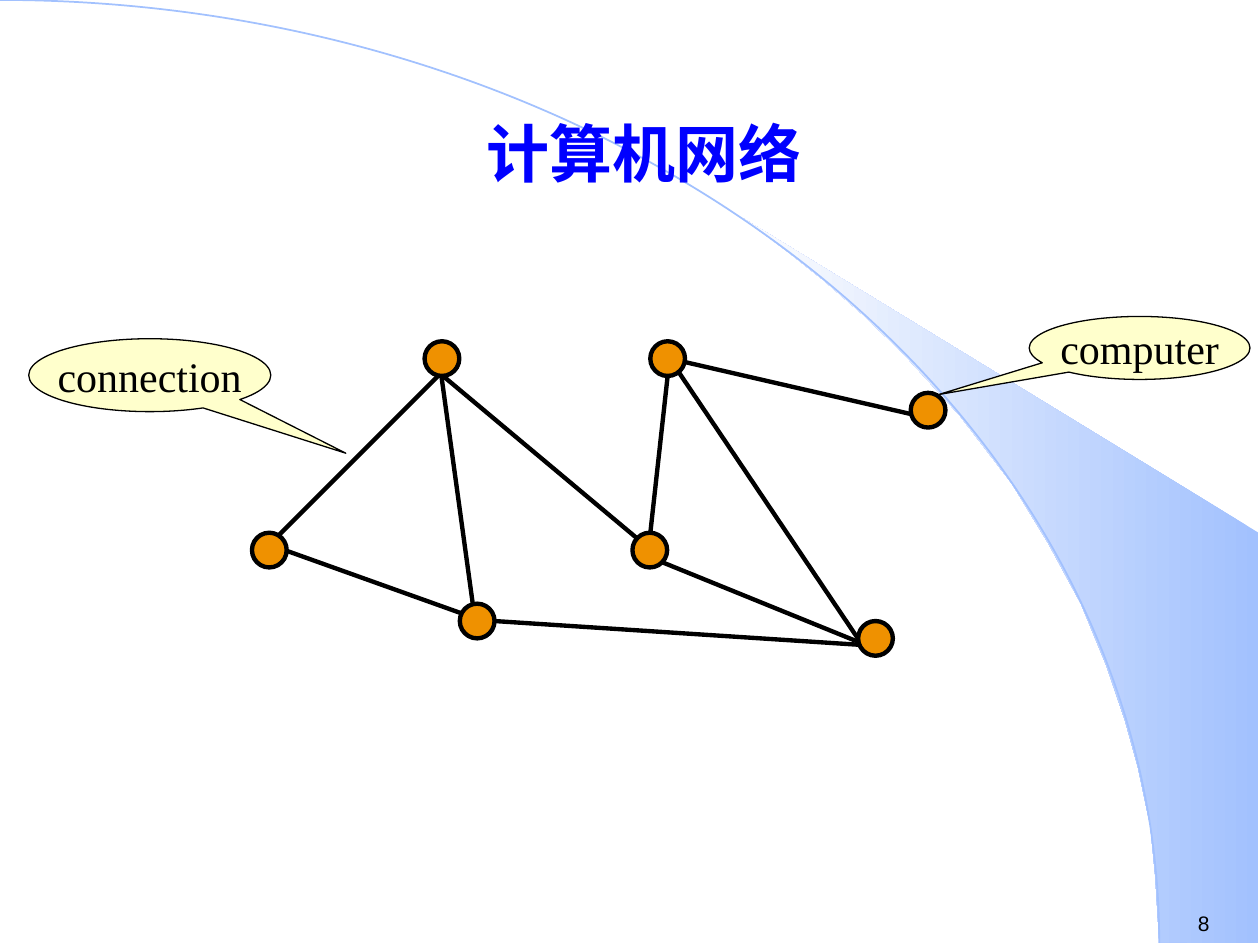
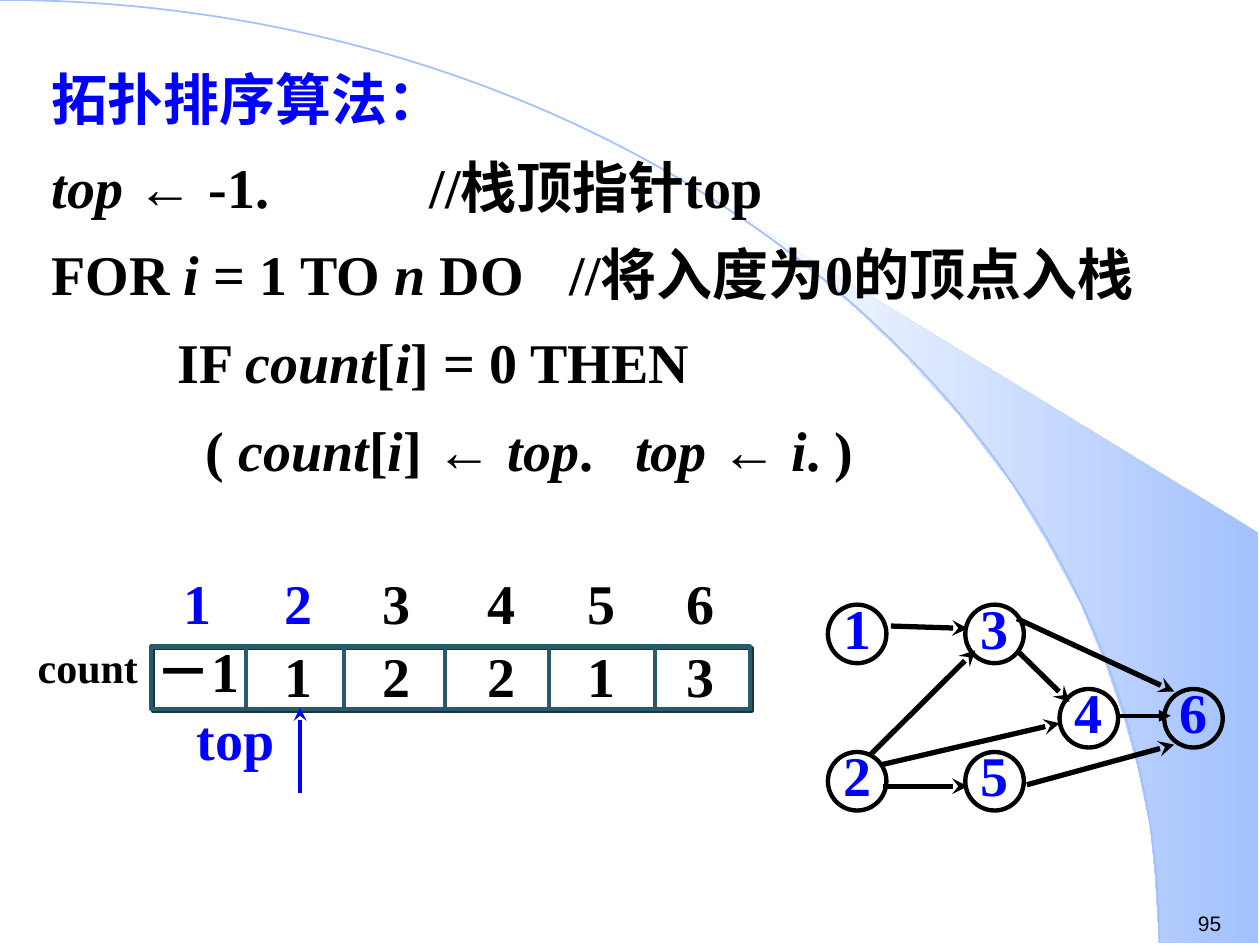
"""Build two slides on graphs: a computer network and topological sorting."""
from lxml.etree import SubElement
from pptx import Presentation
from pptx.dml.color import RGBColor
from pptx.enum.shapes import MSO_CONNECTOR, MSO_SHAPE
from pptx.enum.text import MSO_ANCHOR, PP_ALIGN
from pptx.oxml.ns import qn
from pptx.util import Cm, Inches, Pt

BLACK = RGBColor(0, 0, 0)
BLUE = RGBColor(0, 0, 255)
SWOOSH = RGBColor(0xA2, 0xC1, 0xFE)
NEAR_WHITE = RGBColor(0xFE, 0xFE, 0xFE)
ORANGE = RGBColor(0xEF, 0x91, 0)
CREAM = RGBColor(0xFF, 0xFF, 0xCC)
TEAL = RGBColor(0x29, 0x5A, 0x69)
SHADOW = RGBColor(0x18, 0x35, 0x3E)
SERIF = "Times New Roman"
SANS = "Arial"


def write(shape, text, size, color=BLACK, bold=True, align=PP_ALIGN.CENTER, font=SERIF):
    frame = shape.text_frame
    frame.text = text
    frame.word_wrap = False
    paragraph = frame.paragraphs[0]
    paragraph.alignment = align
    for run in paragraph.runs:
        run.font.name = font
        run.font.size = Pt(size)
        run.font.bold = bold
        run.font.color.rgb = color


def draw_line(slide, x1, y1, x2, y2, color=BLACK, width=2.5, head=None):
    line = slide.shapes.add_connector(MSO_CONNECTOR.STRAIGHT, Cm(x1), Cm(y1), Cm(x2), Cm(y2))
    line.line.color.rgb = color
    line.line.width = Pt(width)
    properties = line._element.spPr
    if head:
        SubElement(properties.get_or_add_ln(), qn("a:tailEnd"), type=head)
    SubElement(properties, qn("a:effectLst"))


presentation = Presentation()
presentation.slide_width = Cm(25.4)
presentation.slide_height = Cm(19.05)
network_slide = presentation.slides.add_slide(presentation.slide_layouts[5])
sorting_slide = presentation.slides.add_slide(presentation.slide_layouts[6])

SWOOSH_POINTS = [
    (2337, 1900), (2537, 1902), (2537, 1074), (1496, 439), (1585, 505), (1659, 564),
    (1740, 635), (1819, 711), (1935, 838), (2040, 975), (2113, 1095), (2179, 1217),
    (2230, 1341), (2268, 1453), (2294, 1547), (2319, 1666), (2329, 1768),
]
for slide, number in [(network_slide, "8"), (sorting_slide, "95")]:
    builder = slide.shapes.build_freeform(*SWOOSH_POINTS[0], scale=Cm(0.01))
    builder.add_line_segments(SWOOSH_POINTS[1:], close=True)
    swoosh = builder.convert_to_shape()
    swoosh.shadow.inherit = False
    swoosh.line.fill.background()
    swoosh.fill.gradient()
    swoosh.fill.gradient_angle = 180
    for stop, color, position in zip(swoosh.fill.gradient_stops, (SWOOSH, NEAR_WHITE), (0, 1)):
        stop.color.rgb = color
        stop.position = position

    arc = slide.shapes.add_shape(MSO_SHAPE.ARC, Cm(-23.37), 0, Cm(46.74), Cm(38.02))
    arc.shadow.inherit = False
    arc.fill.background()
    arc.line.color.rgb = SWOOSH
    arc.line.width = Pt(1)

    page_box = slide.shapes.add_textbox(Cm(23.9), Cm(18.24), Cm(1.5), Cm(0.76))
    write(page_box, number, 12, bold=False, align=PP_ALIGN.LEFT, font=SANS)

title = network_slide.shapes.title
title.left, title.top, title.width, title.height = Cm(2.29), Cm(2.13), Cm(21.39), Cm(1.9)
title.text_frame.vertical_anchor = MSO_ANCHOR.MIDDLE
write(title, "计算机网络", 36, BLUE)
title.text_frame.word_wrap = True
network_slide.shapes._spTree.append(title._element)

CONNECTIONS = [
    (8.89, 7.52, 5.51, 10.9), (8.92, 7.57, 12.9, 10.9), (5.77, 11.1, 9.32, 12.37),
    (13.46, 7.57, 13.11, 10.74), (9.98, 12.52, 17.35, 13), (18.42, 8.36, 13.77, 7.29),
    (13.34, 11.33, 17.45, 13), (8.89, 7.52, 9.53, 12.17), (13.54, 7.29, 17.3, 12.88),
]
for connection in CONNECTIONS:
    draw_line(network_slide, *connection)

COMPUTERS = [
    (12.75, 10.74), (18.36, 7.92), (8.56, 6.88), (9.27, 12.17),
    (5.08, 10.74), (17.3, 12.52), (13.11, 6.88),
]
for left, top in COMPUTERS:
    computer = network_slide.shapes.add_shape(MSO_SHAPE.OVAL, Cm(left), Cm(top), Cm(0.7), Cm(0.7))
    computer.shadow.inherit = False
    computer.fill.solid()
    computer.fill.fore_color.rgb = ORANGE
    computer.line.color.rgb = BLACK
    computer.line.width = Pt(2.5)

CALLOUTS = [
    ("computer", 20.75, 6.38, 4.45, 1.27, (-0.91, 0.74)),
    ("connection", 0.58, 6.83, 4.88, 1.47, (0.81, 1.07)),
]
for text, left, top, width, height, pointer in CALLOUTS:
    callout = network_slide.shapes.add_shape(
        MSO_SHAPE.OVAL_CALLOUT, Cm(left), Cm(top), Cm(width), Cm(height))
    callout.adjustments[0], callout.adjustments[1] = pointer
    callout.shadow.inherit = False
    callout.fill.solid()
    callout.fill.fore_color.rgb = CREAM
    callout.line.color.rgb = BLACK
    callout.line.width = Pt(0.75)
    callout.text_frame.vertical_anchor = MSO_ANCHOR.MIDDLE
    write(callout, text, 24, bold=False)

array = sorting_slide.shapes.add_shape(MSO_SHAPE.RECTANGLE, Cm(3.05), Cm(13.03), Cm(12.07), Cm(1.27))
array.fill.background()
array.line.color.rgb = TEAL
array.line.width = Pt(2.5)
array.shadow.inherit = False
effects = array._element.spPr.find(qn("a:effectLst"))
shadow = SubElement(effects, qn("a:outerShdw"), dist=str(Pt(1.4)), dir="2700000", algn="ctr", rotWithShape="0")
SubElement(shadow, qn("a:srgbClr"), val=str(SHADOW))
for x in (4.95, 6.93, 8.97, 11.07, 13.21):
    draw_line(sorting_slide, x, 13.03, x, 14.3, TEAL, 2.25)

CELL_CENTERS = (3.99, 6.01, 7.99, 10.11, 12.12, 14.13)
COUNTS = ("－1", "1", "2", "2", "1", "3")
CELL_TEXT_WIDTH = 2.74
for index, (center, count) in enumerate(zip(CELL_CENTERS, COUNTS), start=1):
    index_color = BLUE if index <= 2 else BLACK
    count_top = 12.7 if index == 1 else 12.8
    for text, top, color in [(str(index), 11.33, index_color), (count, count_top, BLACK)]:
        cell = sorting_slide.shapes.add_textbox(
            Cm(center - CELL_TEXT_WIDTH / 2), Cm(top), Cm(CELL_TEXT_WIDTH), Cm(1.63))
        write(cell, text, 32, color)
        cell.text_frame.word_wrap = True

for text, left, top, size, color in [("count", 0.51, 12.8, 24, BLACK), ("top", 3.71, 14.07, 32, BLUE)]:
    label = sorting_slide.shapes.add_textbox(Cm(left), Cm(top), Cm(2.8), Cm(1.27))
    write(label, text, size, color, align=PP_ALIGN.LEFT)
draw_line(sorting_slide, 6.05, 15.98, 6.05, 14.27, BLUE, head="stealth")

VARIABLES = {"top", "i", "n", "count"}
ALGORITHM = [
    ["拓扑排序算法："],
    ["top ", "← ", "-1.\t\t//栈顶指针top"],
    ["FOR ", "i ", "= 1 TO ", "n", " DO\t //将入度为0的顶点入栈"],
    ["\tIF ", "count", "[", "i", "] = 0 THEN"],
    ["\t  ( ", "count", "[", "i", "] ", "← ", "top", ".   ", "top ", "←", " i", ". )"],
]
algorithm_box = sorting_slide.shapes.add_textbox(Cm(0.79), Cm(0.91), Cm(23.22), Cm(8.94))
frame = algorithm_box.text_frame
frame.word_wrap = True
frame.vertical_anchor = MSO_ANCHOR.MIDDLE
for row, pieces in enumerate(ALGORITHM):
    paragraph = frame.add_paragraph() if row else frame.paragraphs[0]
    paragraph.line_spacing = 1.2
    if row:
        paragraph.space_before = Pt(4)
    tabs = SubElement(paragraph._p.get_or_add_pPr(), qn("a:tabLst"))
    for stop in range(1, 8):
        SubElement(tabs, qn("a:tab"), pos=str(Inches(stop)), algn="l")
    for piece in pieces:
        run = paragraph.add_run()
        run.text = piece
        run.font.name = SANS if "←" in piece else SERIF
        run.font.size = Pt(32)
        run.font.bold = True
        run.font.italic = piece.strip() in VARIABLES
        run.font.color.rgb = BLACK if row else BLUE

VERTICES = [
    ("4", 21.36, 13.89), ("3", 19.46, 12.19), ("6", 23.47, 13.89),
    ("2", 16.69, 15.16), ("5", 19.46, 15.16), ("1", 16.69, 12.19),
]
for text, left, top in VERTICES:
    vertex = sorting_slide.shapes.add_shape(MSO_SHAPE.OVAL, Cm(left), Cm(top), Cm(1.18), Cm(1.18))
    vertex.shadow.inherit = False
    vertex.fill.background()
    vertex.line.color.rgb = BLACK
    vertex.line.width = Pt(2.5)
    frame = vertex.text_frame
    frame.margin_left = frame.margin_right = frame.margin_top = 0
    frame.margin_bottom = Cm(0.27)
    frame.vertical_anchor = MSO_ANCHOR.MIDDLE
    write(vertex, text, 32, BLUE)

EDGES = [
    (17.96, 12.62, 19.51, 12.67), (17.81, 15.85, 19.51, 15.85), (17.75, 15.42, 21.36, 14.58),
    (17.55, 15.21, 19.66, 13.11), (20.5, 13.11, 21.56, 14.15), (20.7, 15.82, 23.67, 15.01),
    (20.5, 12.47, 23.67, 13.94),
]
for edge in EDGES:
    draw_line(sorting_slide, *edge, width=3, head="stealth")
draw_line(sorting_slide, 22.58, 14.43, 23.6, 14.43, width=2.25, head="triangle")

presentation.save("out.pptx")
